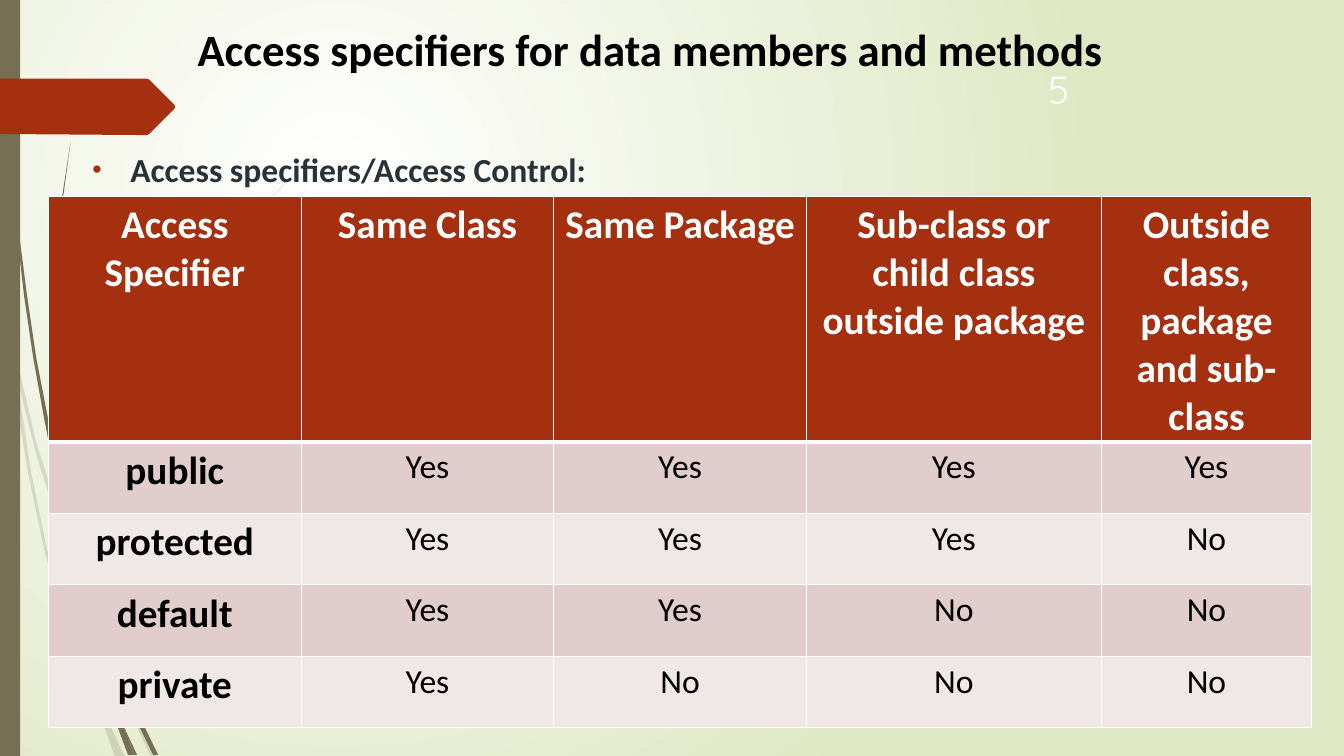
from pptx import Presentation
from pptx.dml.color import RGBColor
from pptx.enum import shapes as sh, text as tx
from pptx.oxml import parse_xml
from pptx.oxml.ns import nsdecls, qn
from pptx.util import Pt

WHITE = RGBColor(0xFF, 0xFF, 0xFF)
BLACK = RGBColor(0, 0, 0)
LIME = RGBColor(0xDF, 0xE8, 0xC4)
OLIVE = RGBColor(0x76, 0x6F, 0x54)
RUST = RGBColor(0xA5, 0x30, 0x10)
SLATE = RGBColor(0x27, 0x32, 0x39)
ROSE = RGBColor(0xE1, 0xCD, 0xCC)
PALE = RGBColor(0xF0, 0xE8, 0xE7)
NS = nsdecls("a")

prs = Presentation()
prs.slide_width, prs.slide_height = Pt(960), Pt(540)
slide = prs.slides.add_slide(prs.slide_layouts[6])

back = slide.background.fill
back.gradient()
for stop, color in zip(back.gradient_stops, (WHITE, LIME)):
    stop.color.rgb = color
lin = next(slide._element.iter(qn("a:lin")))
lin.getparent().replace(lin, parse_xml(
    f'<a:path {NS} path="circle"><a:fillToRect l="50000" t="50000" '
    'r="100000" b="100000"/></a:path>'))


def write(frame, words, size=24, color=BLACK, bold=False, font="Calibri",
          align=tx.PP_ALIGN.LEFT):
    frame.word_wrap = True
    para = frame.paragraphs[0]
    para.alignment = align
    run = para.add_run()
    run.text = words
    run.font.size, run.font.name, run.font.bold = Pt(size), font, bold
    run.font.color.rgb = color
    return para


def paint(shape, color, alpha=100):
    shape.shadow.inherit = False
    shape.fill.solid()
    shape.fill.fore_color.rgb = color
    shape.line.fill.background()
    if alpha < 100:
        tint = next(shape._element.spPr.iter(qn("a:srgbClr")))
        tint.append(parse_xml(f'<a:alpha {NS} val="{alpha * 1000}"/>'))


faint = [
    "11,350 9,322 0,282 0,299 10,344",
    "58,522 84,599 85,586 62,520 36,439 14,345 17,376 36,451",
    "92,607 88,596 88,610 123,694 150,751 155,751 127,692",
    "119,751 124,751 105,711",
    "93,683 70,619 47,546 31,469 17,376 11,350 18,410 28,470 44,546 65,621 92,693 101,714 99,707",
    "84,599 87,646 93,683 96,692 105,711 103,706 91,646 88,610 88,608",
    "88,584 94,522 110,462 132,404 160,349 193,296 229,245 268,198 290,175 312,154 312,153 "
    "289,175 268,197 228,244 191,294 158,348 129,402 107,461 91,521 85,584 85,586 88,596",
    "101,714 114,751 119,751",
    "88,608 88,610 88,596 85,586 84,599",
    "96,692 93,683 99,707 101,714 119,751 105,711",
]
dark = [
    "7,110 11,171 17,233 24,294 33,355 44,416 56,477 57,481 55,457 55,453 36,355 27,294 "
    "19,232 12,171 8,109 5,48 4,0 3,0 4,48",
    "88,592 106,645 106,633 106,631 93,590 75,531 60,472 64,505 75,549",
    "113,649 110,641 111,656 132,708 152,749 157,749 136,706",
    "110,691 98,657 83,607 72,556 64,505 57,477 68,557 79,608 93,659 111,708 117,722 116,717",
    "60,472 58,453 54,349 58,245 63,193 70,141 69,147 62,193 56,245 52,349 55,449",
    "133,749 136,749 122,719",
    "57,477 64,505 60,472 55,449 55,453",
    "111,633 115,592 125,552 140,513 158,476 180,440 205,406 231,374 245,359 261,344 260,344 "
    "245,358 231,373 204,405 178,438 156,474 137,512 122,551 111,590 106,631 110,641",
    "117,722 127,749 131,749",
    "106,645 110,691 116,706 122,719 121,716 111,656 109,651",
    "106,645 109,651 111,656 110,641 106,631 106,633",
    "116,706 110,691 116,717 117,722 130,749 133,749 122,719",
]
arrow = ["173,108 148,133 146,134 136,134 0,133 0,78 136,78 146,78 148,79 173,104 174,106"]

bar = slide.shapes.add_shape(sh.MSO_SHAPE.RECTANGLE, 0, 0, Pt(14.4), Pt(540))
paint(bar, OLIVE)
for group, color, alpha in ((faint, OLIVE, 20), (dark, OLIVE, 100), (arrow, RUST, 100)):
    for row in group:
        dots = [tuple(map(int, dot.split(","))) for dot in row.split()]
        pen = slide.shapes.build_freeform(*dots[0], scale=Pt(0.72))
        pen.add_line_segments(dots[1:], close=True)
        paint(pen.convert_to_shape(), color, alpha)

title = slide.shapes.add_textbox(Pt(134), Pt(12.2), Pt(713), Pt(71.3))
write(title.text_frame, "Access specifiers for data members and methods", size=32, bold=True)

body = slide.shapes.add_textbox(Pt(59), Pt(103), Pt(775.4), Pt(427.7))
para = write(body.text_frame, "Access specifiers/Access Control:", color=SLATE, bold=True)
para.space_before = Pt(10)
props = para._p.get_or_add_pPr()
props.set("marL", str(Pt(27)))
props.set("indent", str(Pt(-27)))
for mark in (f'<a:buClr {NS}><a:srgbClr val="{RUST}"/></a:buClr>',
             f'<a:buSzPct {NS} val="80000"/>',
             f'<a:buFont {NS} typeface="Arial"/>',
             f'<a:buChar {NS} char="•"/>'):
    props.append(parse_xml(mark))

num = slide.shapes.add_textbox(Pt(731.5), Pt(23), Pt(49.7), Pt(60.5))
num.text_frame.vertical_anchor = tx.MSO_ANCHOR.BOTTOM
write(num.text_frame, "5", size=28, color=WHITE, font="Quicksand", align=tx.PP_ALIGN.CENTER)

data = [
    ["Access Specifier", "Same Class", "Same Package",
     "Sub-class or child class outside package", "Outside class, package and sub-class"],
    ["public", "Yes", "Yes", "Yes", "Yes"],
    ["protected", "Yes", "Yes", "Yes", "No"],
    ["default", "Yes", "Yes", "No", "No"],
    ["private", "Yes", "No", "No", "No"],
]
wide = [180.5, 180.5, 180.5, 210.5, 150.5]
tall = [96.5] + [51] * 4
grid = slide.shapes.add_table(5, 5, Pt(34.6), Pt(140.4), Pt(sum(wide)), Pt(sum(tall))).table
for col, width in zip(grid.columns, wide):
    col.width = Pt(width)
for r, (row, height) in enumerate(zip(data, tall)):
    grid.rows[r].height = Pt(height)
    for c, words in enumerate(row):
        cell = grid.cell(r, c)
        head = r == 0
        big = head or c == 0
        write(cell.text_frame, words, size=28 if big else 24, bold=big,
              color=WHITE if head else BLACK, align=tx.PP_ALIGN.CENTER)
        cell.fill.solid()
        cell.fill.fore_color.rgb = RUST if head else (ROSE if r % 2 else PALE)
        for i, side in enumerate("LRTB"):
            thick = 3 if (r, side) in ((0, "B"), (1, "T")) else 1
            cell._tc.get_or_add_tcPr().insert(i, parse_xml(
                f'<a:ln{side} {NS} w="{Pt(thick)}"><a:solidFill>'
                f'<a:srgbClr val="{WHITE}"/></a:solidFill></a:ln{side}>'))

prs.save("out.pptx")
